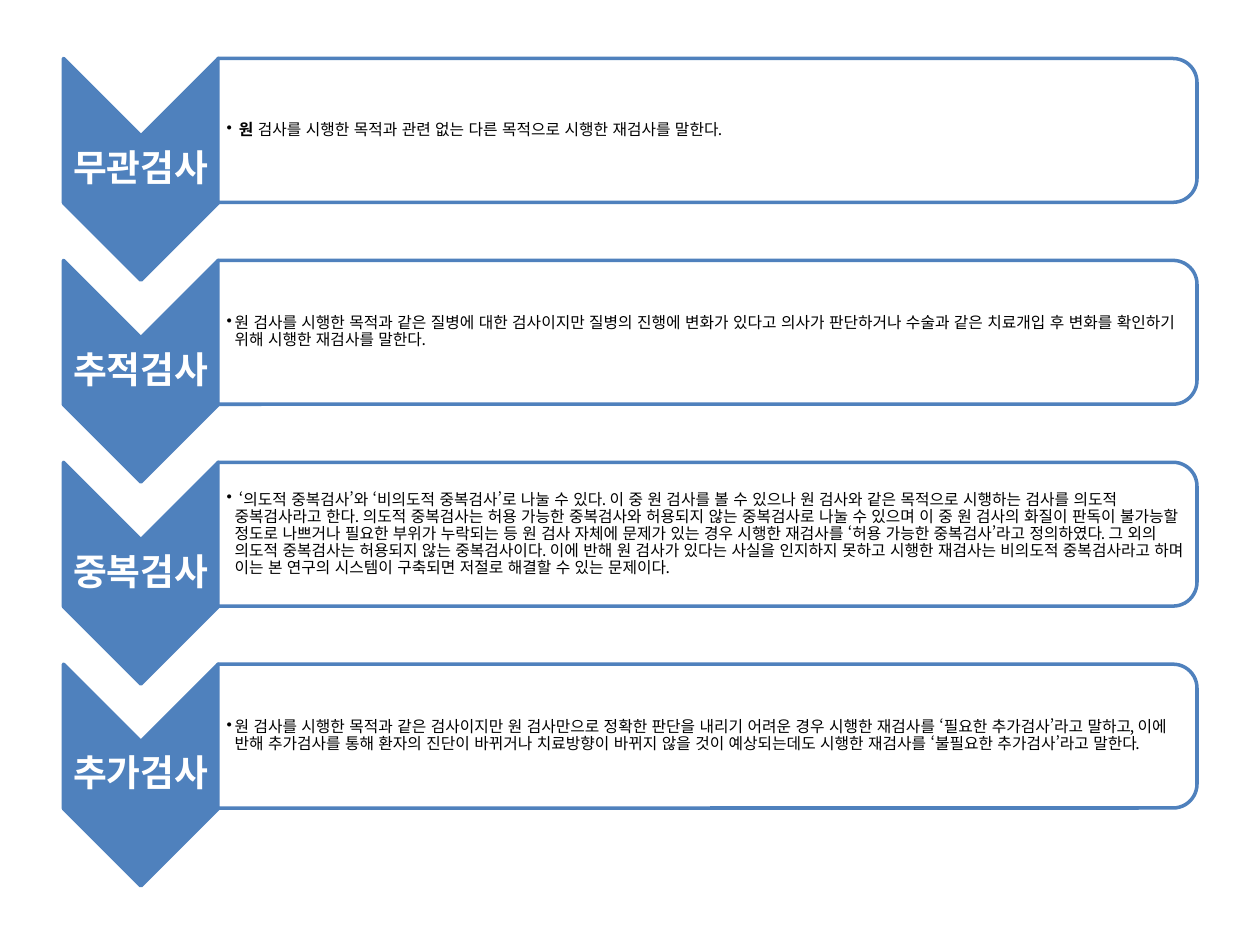
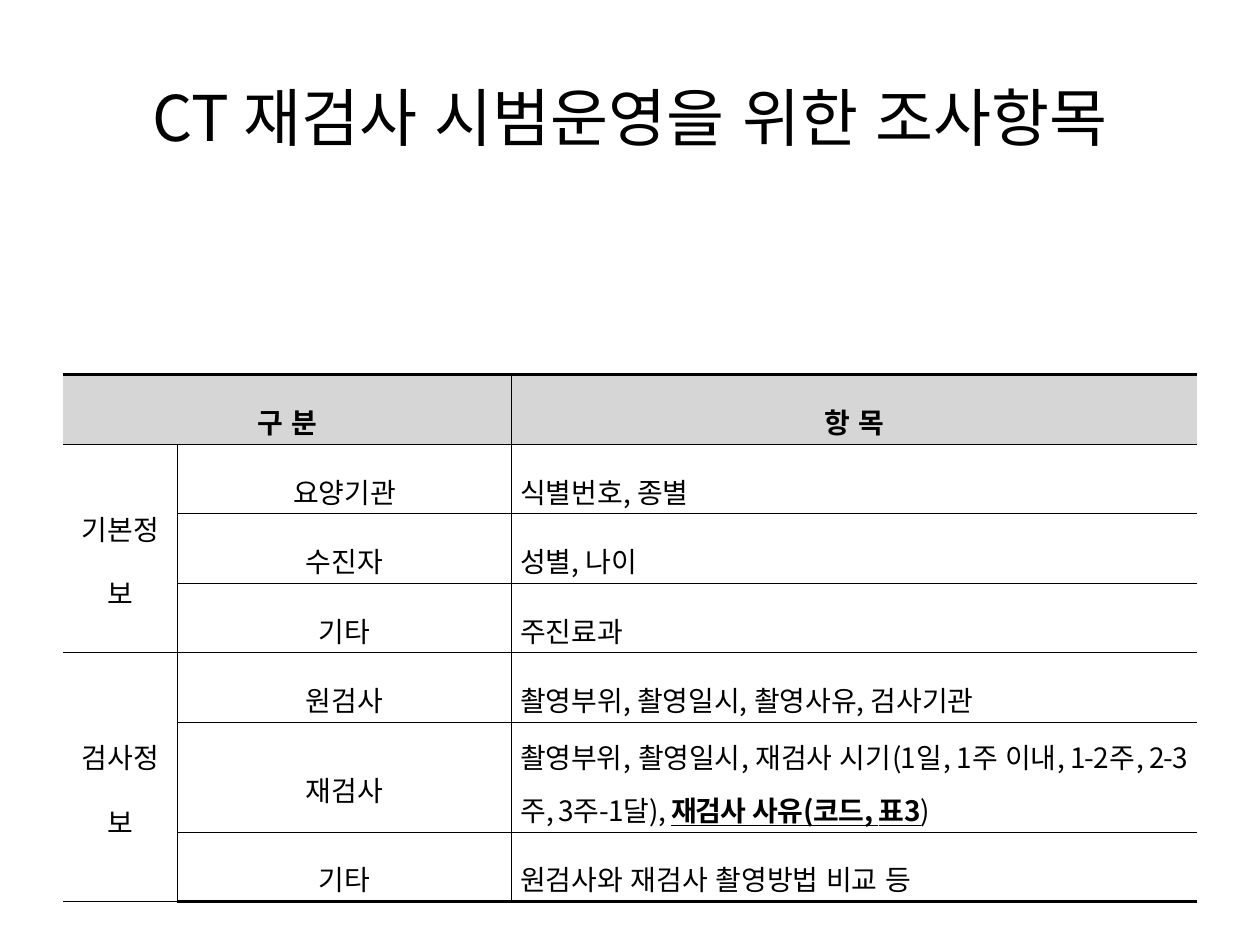
from lxml import etree
from pptx import Presentation
from pptx.dml.color import RGBColor
from pptx.enum.lang import MSO_LANGUAGE_ID
from pptx.enum.shapes import MSO_SHAPE
from pptx.enum.text import MSO_ANCHOR, PP_ALIGN
from pptx.oxml.ns import qn
from pptx.util import Cm, Pt

CHEVRON, ROUND_END = MSO_SHAPE.CHEVRON, MSO_SHAPE.ROUND_2_SAME_RECTANGLE
MIDDLE = MSO_ANCHOR.MIDDLE
CENTER, LEFT, JUSTIFY = PP_ALIGN.CENTER, PP_ALIGN.LEFT, PP_ALIGN.JUSTIFY
KOREAN = MSO_LANGUAGE_ID.KOREAN

FONT = "Noto Sans CJK KR"
COLORS = {"blue": "4F81BD", "white": "FFFFFF", "black": "000000", "header": "D6D6D6"}

# Each text is a list of runs: (wording, style)
BOLD = {"bold": True}
TIGHT = {"spacing": -0.5}
KEY = {"bold": True, "underline": True, "spacing": -0.5}

EXAM_TYPES = [
    ("무관검사", [
        (" 원", BOLD),
        (" 검사를 시행한 목적과 관련 없는 다른 목적으로 시행한 재검사를 말한다.", {})]),
    ("추적검사", [
        ("원 검사를 시행한 목적과 같은 질병에 대한 검사이지만 질병의 진행에 변화가 있다고 "
         "의사가 판단하거나 수술과 같은 치료개입 후 변화를 확인하기 위해 시행한 재검사를 말한다.", {})]),
    ("중복검사", [
        (" ‘의도적 중복검사’와 ‘비의도적 중복검사’로 나눌 수 있다. 이 중 원 검사를 볼 수 있으나 "
         "원 검사와 같은 목적으로 시행하는 검사를 의도적 중복검사라고 한다. 의도적 중복검사는 "
         "허용 가능한 중복검사와 허용되지 않는 중복검사로 나눌 수 있으며 이 중 원 검사의 화질이 "
         "판독이 불가능할 정도로 나쁘거나 필요한 부위가 누락되는 등 원 검사 자체에 문제가 있는 경우 "
         "시행한 재검사를 ‘허용 가능한 중복검사’라고 정의하였다. 그 외의 의도적 중복검사는 "
         "허용되지 않는 중복검사이다. 이에 반해 원 검사가 있다는 사실을 인지하지 못하고 시행한 "
         "재검사는 비의도적 중복검사라고 하며 이는 본 연구의 시스템이 구축되면 저절로 해결할 수 있는 "
         "문제이다.", {})]),
    ("추가검사", [
        ("원 검사를 시행한 목적과 같은 검사이지만 원 검사만으로 정확한 판단을 내리기 어려운 경우 "
         "시행한 재검사를 ‘필요한 추가검사’라고 말하고, 이에 반해 추가검사를 통해 환자의 진단이 "
         "바뀌거나 치료방향이 바뀌지 않을 것이 예상되는데도 시행한 재검사를 ‘불필요한 추가검사’라고 "
         "말한다.", {})]),
]

SURVEY_TITLE = "CT 재검사 시범운영을 위한 조사항목"
SURVEY_HEADER = ("구 분", "항 목")
SURVEY_GROUPS = [
    ("기본정보", [
        ("요양기관", [("식별번호, 종별", {})]),
        ("수진자", [("성별, 나이", {})]),
        ("기타", [("주진료과", {})])]),
    ("검사정보", [
        ("원검사", [("촬영부위, 촬영일시, 촬영사유, 검사기관", {})]),
        ("재검사", [
            ("촬영부위, 촬영일시, 재검사 시기(1일, 1주 이내, 1-2주, 2-3주, 3주-1달), ", TIGHT),
            ("재검사 사유(코드, 표3", KEY),
            (")", TIGHT)]),
        ("기타", [("원검사와 재검사 촬영방법 비교 등", {})])]),
]
COLUMN_WIDTHS = (2.31, 6.73, 13.82)
ROW_HEIGHT, TALL_ROW_HEIGHT = 1.4, 2.18
THICK, THIN = 2, 0.28


def rgb(name):
    return RGBColor.from_string(COLORS[name])


def add_runs(paragraph, runs, size, color="black"):
    for wording, style in runs:
        run = paragraph.add_run()
        run.text = wording
        font = run.font
        font.size, font.name, font.language_id = Pt(size), FONT, KOREAN
        font.bold = style.get("bold", False)
        font.color.rgb = rgb(color)
        if style.get("underline"):
            font.underline = True
        properties = run._r.get_or_add_rPr()
        if "spacing" in style:
            properties.set("spc", str(int(style["spacing"] * 100)))
        properties.find(qn("a:latin")).addnext(
            etree.Element(qn("a:ea"), typeface=FONT))


def add_text(slide, box, runs, size, color, align, left_inset=0.03, bullet=False):
    frame = slide.shapes.add_textbox(*map(Cm, box)).text_frame
    frame.word_wrap = True
    frame.vertical_anchor = MIDDLE
    frame.margin_left = Cm(left_inset)
    frame.margin_top = frame.margin_right = frame.margin_bottom = Cm(0.03)
    paragraph = frame.paragraphs[0]
    paragraph.alignment = align
    paragraph.line_spacing = 0.9
    if bullet:
        properties = paragraph._p.get_or_add_pPr()
        indent = Cm(0.16)
        properties.set("marL", str(indent))
        properties.set("indent", str(-indent))
        etree.SubElement(properties, qn("a:buChar"), char="•")
    add_runs(paragraph, runs, size, color)


def add_turned_shape(slide, kind, box, fill):
    """Draw a shape turned by 90 degrees so that it covers the given box."""
    left, top, width, height = box
    shift = (width - height) / 2
    shape = slide.shapes.add_shape(
        kind, Cm(left + shift), Cm(top - shift), Cm(height), Cm(width))
    shape.rotation = 90
    shape.shadow.inherit = False
    shape.fill.solid()
    shape.fill.fore_color.rgb = rgb(fill)
    shape.line.color.rgb = rgb("blue")
    shape.line.width = Pt(2)


def build_exam_types(prs):
    slide = prs.slides.add_slide(prs.slide_layouts[6])
    for index, (name, definition) in enumerate(EXAM_TYPES):
        top = 1.18 + index * 4.07
        add_turned_shape(slide, CHEVRON, (1.28, top, 3.12, 4.47), "blue")
        add_text(slide, (1.28, top + 1.56, 3.12, 1.35), [(name, BOLD)],
                 21, "white", CENTER)
        add_turned_shape(slide, ROUND_END, (4.39, top, 19.74, 2.9), "white")
        add_text(slide, (4.39, top + 0.14, 19.58, 2.62), definition,
                 9, "black", LEFT, left_inset=0.18, bullet=True)


def set_borders(cell, left, right, top, bottom):
    """Set border widths in points; zero hides that side."""
    properties = cell._tc.get_or_add_tcPr()
    sides = {"L": left, "R": right, "T": top, "B": bottom}
    for position, (side, width) in enumerate(sides.items()):
        line = etree.Element(qn(f"a:ln{side}"), w=str(Pt(width)))
        if width:
            fill = etree.SubElement(line, qn("a:solidFill"))
            etree.SubElement(fill, qn("a:srgbClr"), val=COLORS["black"])
        else:
            etree.SubElement(line, qn("a:noFill"))
        properties.insert(position, line)


def fill_cell(cell, runs, align=CENTER, spacing=1.6):
    paragraph = cell.text_frame.paragraphs[0]
    paragraph.alignment = align
    paragraph.line_spacing = spacing
    add_runs(paragraph, runs, 16)


def build_survey_items(prs):
    slide = prs.slides.add_slide(prs.slide_layouts[5])
    title = slide.shapes.title
    title.left, title.top, title.width, title.height = map(Cm, (1.27, 0.76, 22.86, 3.18))
    title.text_frame.vertical_anchor = MIDDLE
    heading = title.text_frame.paragraphs[0]
    heading.alignment = CENTER
    add_runs(heading, [(SURVEY_TITLE, {})], 36)

    items = [item for _, members in SURVEY_GROUPS for item in members]
    heights = [ROW_HEIGHT] + [
        TALL_ROW_HEIGHT if len(runs) > 1 else ROW_HEIGHT for _, runs in items]
    table = slide.shapes.add_table(
        len(heights), len(COLUMN_WIDTHS), Cm(1.27), Cm(7.55),
        Cm(sum(COLUMN_WIDTHS)), Cm(sum(heights))).table
    table.first_row = table.horz_banding = False
    for column, width in zip(table.columns, COLUMN_WIDTHS):
        column.width = Cm(width)
    for row, height in zip(table.rows, heights):
        row.height = Cm(height)

    last_row, last_column = len(heights) - 1, len(COLUMN_WIDTHS) - 1
    for r in range(last_row + 1):
        for c in range(last_column + 1):
            cell = table.cell(r, c)
            cell.vertical_anchor = MIDDLE
            cell.margin_left = cell.margin_right = Cm(0.18)
            cell.margin_top = cell.margin_bottom = Cm(0.05)
            if r == 0:
                cell.fill.solid()
                cell.fill.fore_color.rgb = rgb("header")
            else:
                cell.fill.background()
            set_borders(cell, THIN if c else 0, THIN if c < last_column else 0,
                        THIN if r else THICK, THIN if r < last_row else THICK)

    table.cell(0, 0).merge(table.cell(0, 1))
    for c, label in zip((0, 2), SURVEY_HEADER):
        fill_cell(table.cell(0, c), [(label, BOLD)])
    first = 1
    for group, members in SURVEY_GROUPS:
        table.cell(first, 0).merge(table.cell(first + len(members) - 1, 0))
        fill_cell(table.cell(first, 0), [(group, {})])
        for r, (label, runs) in enumerate(members, first):
            fill_cell(table.cell(r, 1), [(label, {})])
            fill_cell(table.cell(r, 2), runs, JUSTIFY, 1.3 if len(runs) > 1 else 1.6)
        first += len(members)


def main():
    prs = Presentation()
    prs.slide_width, prs.slide_height = Cm(25.4), Cm(19.05)
    build_exam_types(prs)
    build_survey_items(prs)
    prs.save("out.pptx")


if __name__ == "__main__":
    main()
